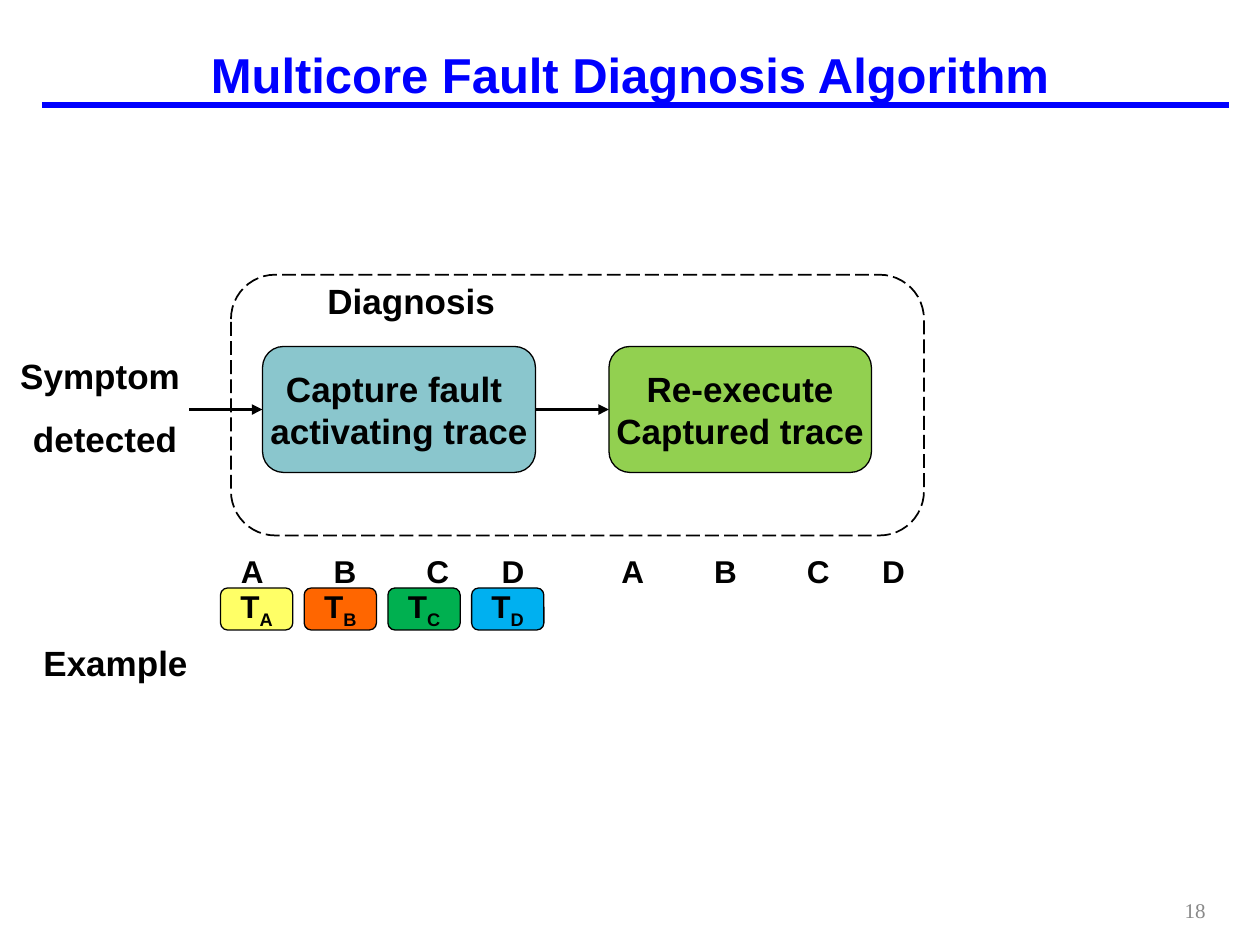
from lxml import etree
from pptx import Presentation
from pptx.dml.color import RGBColor
from pptx.enum.dml import MSO_LINE
from pptx.enum.shapes import MSO_CONNECTOR, MSO_SHAPE
from pptx.enum.text import MSO_ANCHOR, PP_ALIGN
from pptx.oxml.ns import qn
from pptx.util import Pt

BLACK = RGBColor(0x00, 0x00, 0x00)
BLUE = RGBColor(0x00, 0x00, 0xFF)
GREY = RGBColor(0x89, 0x89, 0x89)
TEAL = RGBColor(0x8A, 0xC6, 0xCD)
LIME = RGBColor(0x92, 0xD0, 0x50)
THREADS = {
    "A": RGBColor(0xFF, 0xFF, 0x66),
    "B": RGBColor(0xFF, 0x66, 0x00),
    "C": RGBColor(0x00, 0xB0, 0x50),
    "D": RGBColor(0x00, 0xB0, 0xF0),
}
CORE_TABS = (53, 106, 149)


def add_run(paragraph, text, size, color=BLACK, font="Arial", bold=True):
    run = paragraph.add_run()
    run.text = text
    run.font.size = Pt(size)
    run.font.name = font
    run.font.bold = bold
    run.font.color.rgb = color
    return run


def set_frame(frame, anchor, wrap=True, inset_x=7.2, inset_y=3.6):
    frame.word_wrap = wrap
    frame.vertical_anchor = anchor
    frame.margin_left = frame.margin_right = Pt(inset_x)
    frame.margin_top = frame.margin_bottom = Pt(inset_y)


def add_lines(frame, lines, size, align, gap=0):
    for index, line in enumerate(lines):
        paragraph = frame.add_paragraph() if index else frame.paragraphs[0]
        paragraph.alignment = align
        if index and gap:
            paragraph.space_before = Pt(gap)
        add_run(paragraph, line, size)


def add_label(slide, left, top, width, height, **frame_options):
    label = slide.shapes.add_textbox(Pt(left), Pt(top), Pt(width), Pt(height))
    set_frame(label.text_frame, MSO_ANCHOR.TOP, **frame_options)
    return label.text_frame


def add_box(slide, preset, left, top, width, height, fill=None, line_width=0.75):
    box = slide.shapes.add_shape(preset, Pt(left), Pt(top), Pt(width), Pt(height))
    box.shadow.inherit = False
    if fill is None:
        box.fill.background()
    else:
        box.fill.solid()
        box.fill.fore_color.rgb = fill
    box.line.color.rgb = BLACK
    box.line.width = Pt(line_width)
    return box


def add_rule(slide, left, right, y, color, width, arrow=False):
    rule = slide.shapes.add_connector(
        MSO_CONNECTOR.STRAIGHT, Pt(left), Pt(y), Pt(right), Pt(y))
    rule.line.color.rgb = color
    rule.line.width = Pt(width)
    if arrow:
        etree.SubElement(rule.line._get_or_add_ln(), qn("a:tailEnd"), type="triangle")
    etree.SubElement(rule._element.spPr, qn("a:effectLst"))


def place_title(slide, left, top, width, height):
    add_rule(slide, left + 24, left + width - 18, top + 48, BLUE, 3)
    title = slide.shapes.title
    title.left, title.top, title.width, title.height = map(Pt, (left, top, width, height))
    set_frame(title.text_frame, MSO_ANCHOR.MIDDLE)
    heading = title.text_frame.paragraphs[0]
    heading.alignment = PP_ALIGN.CENTER
    add_run(heading, "Multicore Fault Diagnosis Algorithm", 28, BLUE)


def place_side_label(slide, left, top, width, height, lines):
    frame = add_label(slide, left, top, width, height, inset_x=9.4, inset_y=4.3)
    add_lines(frame, lines, 20, PP_ALIGN.CENTER, gap=12.5)


def place_diagnosis(slide, left, top, width, height):
    # Arrows and steps, all centred on one line
    middle = top + 77
    steps = (
        (42, 18, 156, TEAL, ("Capture fault ", "activating trace")),
        (42, 216, 150, LIME, ("Re-execute", "Captured trace")),
    )
    for arrow_length, offset, step_width, fill, lines in steps:
        step_left = left + offset
        add_rule(slide, step_left - arrow_length, step_left, middle, BLACK, 2, arrow=True)
        step = add_box(slide, MSO_SHAPE.FLOWCHART_ALTERNATE_PROCESS,
                       step_left, middle - 36, step_width, 72, fill)
        set_frame(step.text_frame, MSO_ANCHOR.MIDDLE, wrap=False)
        add_lines(step.text_frame, lines, 20, PP_ALIGN.CENTER)

    # Dashed boundary and its caption
    boundary = add_box(slide, MSO_SHAPE.ROUNDED_RECTANGLE, left, top, width, height, line_width=1)
    boundary.adjustments[0] = 0.17
    boundary.line.dash_style = MSO_LINE.LONG_DASH
    caption = add_label(slide, left + 48, top - 1, 110, 32, wrap=False)
    add_lines(caption, ["Diagnosis"], 20, PP_ALIGN.LEFT)


def place_threads(slide, left, top, width, height):
    chip_width = 41.3
    step = (width - chip_width) / (len(THREADS) - 1)
    for index, (core, fill) in enumerate(THREADS.items()):
        chip = add_box(slide, MSO_SHAPE.ROUNDED_RECTANGLE,
                       left + index * step, top, chip_width, height, fill)
        set_frame(chip.text_frame, MSO_ANCHOR.MIDDLE)
        thread = chip.text_frame.paragraphs[0]
        thread.alignment = PP_ALIGN.CENTER
        add_run(thread, "T", 18)
        subscript = add_run(thread, core, 18)
        subscript.font._element.set("baseline", "-25000")


def place_core_names(slide, left, top, width, height):
    cores = add_label(slide, left, top, width, height).paragraphs[0]
    tab_list = etree.SubElement(cores._p.get_or_add_pPr(), qn("a:tabLst"))
    for position in CORE_TABS:
        etree.SubElement(tab_list, qn("a:tab"), pos=str(Pt(position)), algn="l")
    add_run(cores, "\t".join(THREADS), 18)


def place_page_number(slide, left, top, width, height):
    frame = add_label(slide, left, top, width, height)
    frame.vertical_anchor = MSO_ANCHOR.MIDDLE
    frame.paragraphs[0].alignment = PP_ALIGN.RIGHT
    add_run(frame.paragraphs[0], "18", 12, GREY, "Times New Roman", bold=False)


def main():
    deck = Presentation()
    deck.slide_width, deck.slide_height = Pt(720), Pt(540)
    slide = deck.slides.add_slide(deck.slide_layouts[5])

    place_title(slide, 0, 12, 720, 60)
    place_page_number(slide, 528, 505.5, 168, 29)

    # Diagnosis flow
    place_side_label(slide, -24, 198, 168, 70, ("Symptom ", "detected"))
    place_diagnosis(slide, 132, 157, 396, 149)

    # Example on four cores
    place_threads(slide, 126, 336, 184.8, 24)
    for left in (130.5, 348):
        place_core_names(slide, left, 312, 204, 29)
    place_side_label(slide, -18, 362, 168, 33, ("Example",))

    deck.save("out.pptx")


if __name__ == "__main__":
    main()
